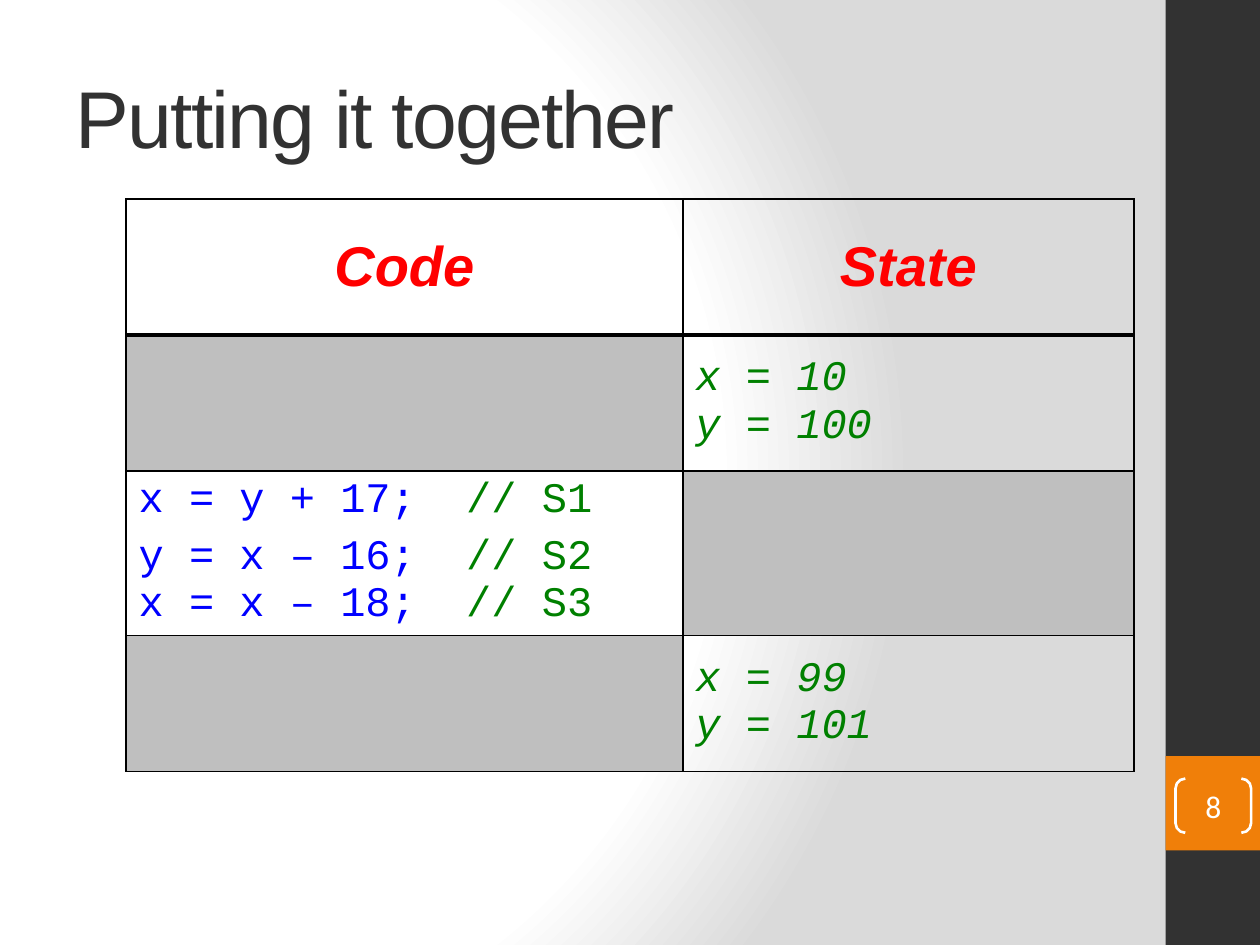
"""Build the "Putting it together" slide: a code and state trace table."""
from lxml.etree import SubElement
from pptx import Presentation
from pptx.dml.color import RGBColor
from pptx.enum.shapes import MSO_SHAPE as Shape
from pptx.enum.text import MSO_ANCHOR as Anchor, MSO_AUTO_SIZE as AutoSize, PP_ALIGN as Align
from pptx.oxml import parse_xml
from pptx.oxml.ns import nsdecls, qn
from pptx.util import Inches, Pt

THEME = {
    "dark": "323232", "accent": "F07F09", "white": "FFFFFF", "shade": "DADADA",
    "blank": "BFBFBF", "border": "000000",
    "title": ("Arial", 46, "323232", False, False),
    "heading": ("Arial", 32, "FF0000", True, True),
    "state": ("Courier New", 24, "008000", False, True),
    "code": ("Courier New", 24, "0000FF", False, False),
    "comment": ("Courier New", 24, "008000", False, False),
    "number": ("Calibri", 18, "FFFFFF", False, False),
}


def style(span, role):
    """Give a run the typeface of a theme role."""
    font = span.font
    font.name, size, color, font.bold, font.italic = THEME[role]
    font.size = Pt(size)
    font.color.rgb = RGBColor.from_string(color)


def set_border(cell, side, points):
    """Draw one side of a table cell."""
    line = SubElement(cell._tc.get_or_add_tcPr(), qn(f"a:ln{side}"), w=str(Pt(points)))
    fill = SubElement(line, qn("a:solidFill"))
    SubElement(fill, qn("a:srgbClr"), val=THEME["border"])


deck = Presentation()
deck.slide_width, deck.slide_height = Inches(10), Inches(7.5)
width, height = deck.slide_width, deck.slide_height
page = deck.slides.add_slide(deck.slide_layouts[5])

stops = "".join(
    f'<a:gs pos="{share * 1000}"><a:srgbClr val="{THEME[name]}"/></a:gs>'
    for share, name in ((0, "white"), (75, "white"), (100, "shade"))
)
page._element.cSld.insert(0, parse_xml(
    f'<p:bg {nsdecls("p", "a")}><p:bgPr><a:gradFill rotWithShape="1"><a:gsLst>{stops}</a:gsLst>'
    '<a:path path="circle"><a:fillToRect l="20000" t="50000" r="100000" b="50000"/></a:path>'
    "</a:gradFill><a:effectLst/></p:bgPr></p:bg>"
))

band_left, band_width = int(width * 0.925), int(width * 0.075)
for top, share, name in ((0, 1, "dark"), (0.8, 0.1, "accent")):
    band = page.shapes.add_shape(
        Shape.RECTANGLE, band_left, int(height * top), band_width, int(height * share))
    band.shadow.inherit = False
    band.fill.solid()
    band.fill.fore_color.rgb = RGBColor.from_string(THEME[name])
    band.line.fill.background()

title = page.shapes.title
title.left, title.top = int(width * 0.05), int(height * 0.04)
title.width, title.height = Inches(8.33), Inches(1.25)
frame = title.text_frame
frame.text = "Putting it together"
frame.auto_size = AutoSize.NONE
frame.vertical_anchor = Anchor.MIDDLE
para = frame.paragraphs[0]
para.alignment = Align.LEFT
style(para.runs[0], "title")
para.runs[0].font._element.set("spc", "-100")

row_height = Inches(1.08)
table = page.shapes.add_table(
    4, 2, int(width * 0.1), Inches(1.58), int(width * 0.8), row_height * 4).table
table.first_row = table.horz_banding = False
table.columns[0].width, table.columns[1].width = Inches(4.42), Inches(3.58)

texts = {
    (0, 0): ("Code", "heading"), (0, 1): ("State", "heading"),
    (1, 1): ("x = 10\vy = 100", "state"), (3, 1): ("x = 99\vy = 101", "state"),
}
statements = [
    [("x = y + 17;  ", "// S1")],
    [("y = x – 16;  ", "// S2"), ("x = x – 18;  ", "// S3")],
]
code_place = (2, 0)

for row in range(4):
    table.rows[row].height = row_height
    for column in range(2):
        cell = table.cell(row, column)
        cell.vertical_anchor = Anchor.MIDDLE
        for side in "LRTB":
            heavy = (row, side) in ((0, "B"), (1, "T"))
            set_border(cell, side, 3 if heavy else 1)
        if (row, column) in texts:
            cell.fill.background()
            text, role = texts[row, column]
            para = cell.text_frame.paragraphs[0]
            para.text = text
            para.alignment = Align.CENTER if role == "heading" else Align.LEFT
            for span in para.runs:
                style(span, role)
        elif (row, column) == code_place:
            cell.fill.background()
        else:
            cell.fill.solid()
            cell.fill.fore_color.rgb = RGBColor.from_string(THEME["blank"])

frame = table.cell(*code_place).text_frame
for index, lines in enumerate(statements):
    para = frame.add_paragraph() if index else frame.paragraphs[0]
    if index:
        para.space_before = Pt(5)
    for position, (code, comment) in enumerate(lines):
        if position:
            para.add_line_break()
        for text, role in ((code, "code"), (comment, "comment")):
            span = para.add_run()
            span.text = text
            style(span, role)

bracket = page.shapes.add_shape(
    Shape.DOUBLE_BRACKET, Inches(9.33), Inches(6.18), Inches(0.6), Inches(0.43))
bracket.shadow.inherit = False
bracket.adjustments[0] = 0.18
bracket.fill.background()
bracket.line.color.rgb = RGBColor.from_string(THEME["white"])
bracket.line.width = Pt(1.5)
frame = bracket.text_frame
frame.margin_left = frame.margin_right = frame.margin_top = frame.margin_bottom = 0
frame.vertical_anchor = Anchor.MIDDLE
frame.text = "8"
frame.paragraphs[0].alignment = Align.CENTER
style(frame.paragraphs[0].runs[0], "number")

deck.save("out.pptx")
